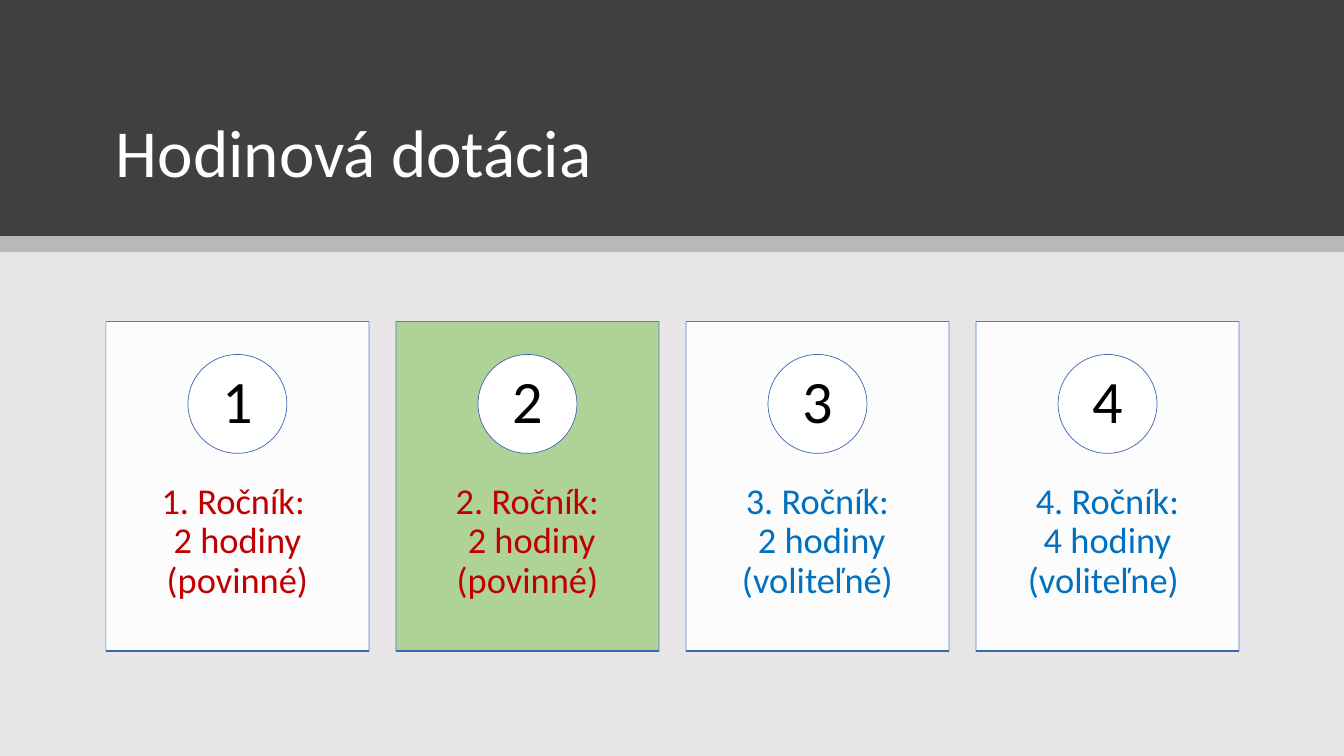
import lxml.etree
import pptx
import pptx.dml.color
import pptx.enum.shapes
import pptx.enum.text
import pptx.oxml.ns
import pptx.util

SHAPE = pptx.enum.shapes.MSO_SHAPE
ANCHOR = pptx.enum.text.MSO_ANCHOR
ALIGN = pptx.enum.text.PP_ALIGN
Inches = pptx.util.Inches

WIDTH, HEIGHT = 13.33, 7.5
BAND_HEIGHT, STRIPE_HEIGHT = 2.34, 0.16
LEFT, CONTENT_WIDTH = 1.05, 11.24
CARD_TOP, CARD_WIDTH, CARD_HEIGHT = 3.19, 2.61, 3.27
CIRCLE = 0.3 * CARD_HEIGHT
RED, BLUE = "C00000", "0070C0"

YEARS = [
    ("1. Ročník: \v2 hodiny (povinné)", RED, "FFFFFF"),
    ("2. Ročník:\v 2 hodiny (povinné)", RED, "A9D18E"),
    ("3. Ročník:\v 2 hodiny (voliteľné)", BLUE, "FFFFFF"),
    ("4. Ročník:\v4 hodiny (voliteľne) ", BLUE, "FFFFFF"),
]


def paint(color_format, color, alpha=100):
    """Set a hex colour with an opacity in percent."""
    color_format.rgb = pptx.dml.color.RGBColor.from_string(color)


def set_opacity(fill_parent, percent):
    """Add an opacity to the solid fill inside a shape's or line's XML."""
    color = fill_parent.find(pptx.oxml.ns.qn("a:solidFill"))[0]
    alpha = lxml.etree.SubElement(color, pptx.oxml.ns.qn("a:alpha"))
    alpha.set("val", str(percent * 1000))


def add_block(page, kind, left, top, width, height, fill, line=None, opacity=100):
    block = page.shapes.add_shape(
        kind, Inches(left), Inches(top), Inches(width), Inches(height))
    block.shadow.inherit = False
    block.fill.solid()
    paint(block.fill.fore_color, fill)
    properties = block.element.spPr
    if line:
        paint(block.line.color, line)
        block.line.width = pptx.util.Pt(0.5)
    else:
        block.line.fill.background()
    if opacity < 100:
        set_opacity(properties, opacity)
        if line:
            set_opacity(properties.find(pptx.oxml.ns.qn("a:ln")), opacity)
    return block


def write(box, text, size, color, anchor, align, inset=(0.1, 0.05)):
    frame = box.text_frame
    frame.word_wrap = True
    frame.auto_size = pptx.enum.text.MSO_AUTO_SIZE.NONE
    frame.vertical_anchor = anchor
    frame.margin_left = frame.margin_right = Inches(inset[0])
    frame.margin_top = frame.margin_bottom = Inches(inset[1])
    frame.text = text
    para = frame.paragraphs[0]
    para.alignment = align
    para.line_spacing = 0.9
    for span in para.runs:
        span.font.name = "Calibri"
        span.font.size = pptx.util.Pt(size)
        paint(span.font.color, color)


def add_title(page, text):
    title = page.shapes.title
    title.left, title.top = Inches(LEFT), Inches(0.47)
    title.width, title.height = Inches(CONTENT_WIDTH), Inches(1.49)
    write(title, text, 48, "FFFFFF", ANCHOR.BOTTOM, ALIGN.LEFT)
    title.element.getparent().append(title.element)  # in front of the band


def add_base_line(page, left, top, width):
    line = page.shapes.add_connector(
        pptx.enum.shapes.MSO_CONNECTOR.STRAIGHT,
        Inches(left), Inches(top), Inches(left + width), Inches(top))
    paint(line.line.color, "3E67B2")
    line.line.width = pptx.util.Pt(1)
    lxml.etree.SubElement(line.element.spPr, pptx.oxml.ns.qn("a:effectLst"))


def add_card(page, left, number, text, text_color, fill):
    add_block(page, SHAPE.RECTANGLE, left, CARD_TOP, CARD_WIDTH, CARD_HEIGHT,
              fill, "4472C4", 90)
    label = page.shapes.add_textbox(
        Inches(left), Inches(CARD_TOP + 0.38 * CARD_HEIGHT),
        Inches(CARD_WIDTH), Inches(0.6 * CARD_HEIGHT))
    write(label, text, 26, text_color, ANCHOR.TOP, ALIGN.CENTER, (0.2, 0.36))
    circle = add_block(page, SHAPE.OVAL, left + (CARD_WIDTH - CIRCLE) / 2,
                       CARD_TOP + 0.1 * CARD_HEIGHT, CIRCLE, CIRCLE,
                       "FFFFFF", "3E67B2")
    write(circle, str(number), 43, "000000", ANCHOR.MIDDLE, ALIGN.CENTER, (0.08, 0.01))
    add_base_line(page, left, CARD_TOP + CARD_HEIGHT, CARD_WIDTH)


def main():
    deck = pptx.Presentation()
    deck.slide_width, deck.slide_height = Inches(WIDTH), Inches(HEIGHT)
    page = deck.slides.add_slide(deck.slide_layouts.get_by_name("Title Only"))
    add_block(page, SHAPE.RECTANGLE, 0, 0, WIDTH, HEIGHT, "E7E6E6")
    add_block(page, SHAPE.RECTANGLE, 0, 0, WIDTH, BAND_HEIGHT, "404040")
    add_block(page, SHAPE.RECTANGLE, 0, BAND_HEIGHT, WIDTH, STRIPE_HEIGHT,
              "000000", opacity=20)
    add_title(page, "Hodinová dotácia")
    step = (CONTENT_WIDTH - CARD_WIDTH) / (len(YEARS) - 1)
    for index, (text, text_color, fill) in enumerate(YEARS):
        add_card(page, LEFT + index * step, index + 1, text, text_color, fill)
    deck.save("out.pptx")


if __name__ == "__main__":
    main()
